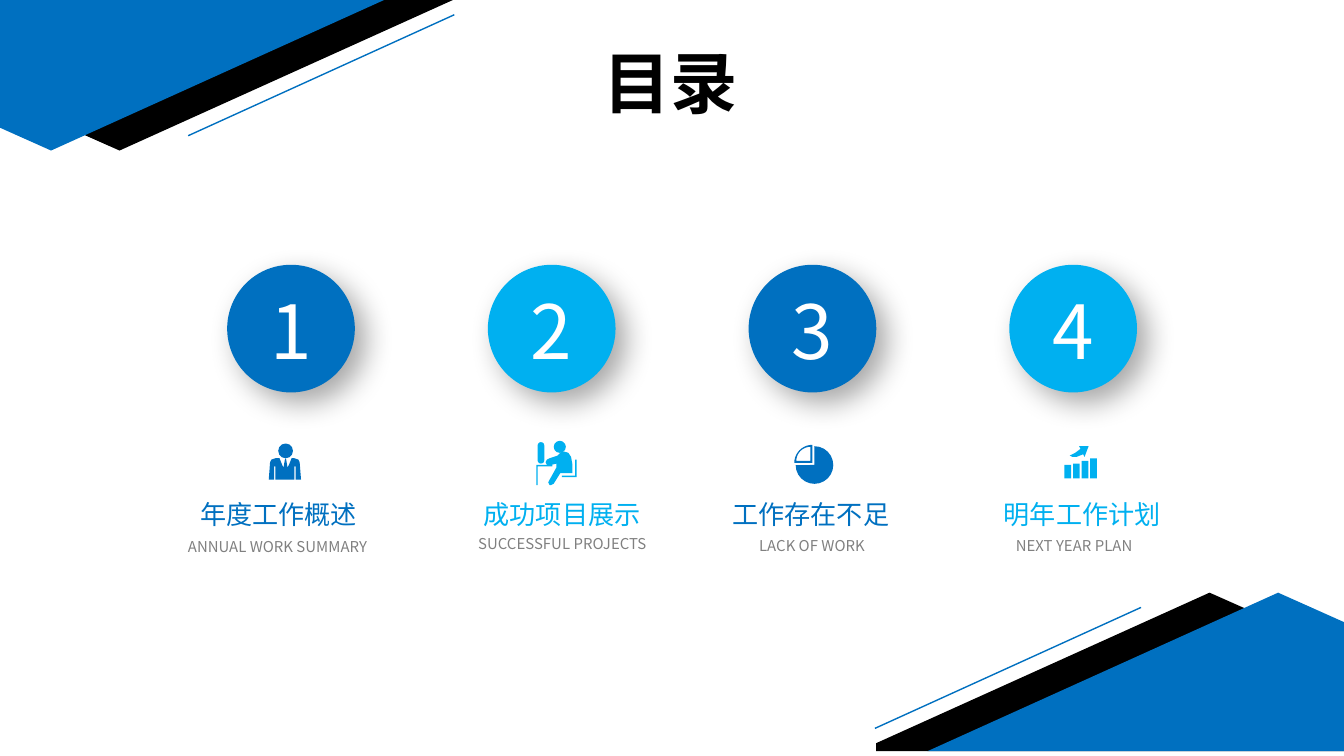
import math
from dataclasses import dataclass
from typing import NamedTuple, Optional

import pptx
import pptx.dml.color
import pptx.enum.shapes
import pptx.enum.text
import pptx.oxml
import pptx.oxml.ns
import pptx.util

SHAPE = pptx.enum.shapes.MSO_SHAPE
ALIGN = pptx.enum.text.PP_ALIGN
ANCHOR = pptx.enum.text.MSO_ANCHOR
Inches = pptx.util.Inches

COLORS = {"blue": "0070C0", "sky": "00B0F0", "black": "000000",
          "white": "FFFFFF", "gray": "808080"}
FONT = "Noto Sans CJK SC"
NAMESPACE = pptx.oxml.ns.nsdecls("a")

WIDTH = 10
HEIGHT = WIDTH * 9 / 16
FIRST_COLUMN, COLUMN_STEP = 1.69, 1.94
CIRCLE_TOP, CIRCLE_SIZE = 1.97, 0.95
HEADING_TOP = 3.66
ICON_UNIT = 0.01


class Preset(NamedTuple):
    """A preset shape inside an icon, in icon units."""
    kind: SHAPE
    left: float
    top: float
    width: float
    height: float
    adjustments: tuple = ()


class Outline(NamedTuple):
    """A closed polygon inside an icon, in icon units."""
    points: list


class Label(NamedTuple):
    text: str
    left: float
    top: float
    width: float


@dataclass
class Section:
    color: str
    heading: Label
    caption: Label
    icon_origin: tuple
    icon: list


def quarter(center: float, radius: float) -> list:
    """Upper-left quarter disc, starting and ending at its centre."""
    angles = [math.radians(180 + 9 * step) for step in range(11)]
    arc = [(center + radius * math.cos(a), center + radius * math.sin(a)) for a in angles]
    return [(center, center), *arc, (center, center)]


BUSINESSMAN = [
    Preset(SHAPE.OVAL, 7, 0, 11, 11),
    Outline([(1, 14), (2, 12), (5, 11), (8, 11), (10, 16), (11, 18), (12, 12), (12.5, 11),
             (13, 12), (14, 18), (15, 16), (17, 11), (19, 11), (22, 12), (23, 14), (24, 27),
             (20, 27), (20, 17), (19, 17), (19, 27), (5, 27), (5, 17), (4, 17), (4, 27), (0, 27)]),
]
DESK_WORKER = [
    Outline([(0, 18), (12, 18), (12, 19), (1, 19), (1, 33), (0, 33)]),
    Preset(SHAPE.ROUNDED_RECTANGLE, 1, 1, 5, 16, (0.5,)),
    Preset(SHAPE.OVAL, 13, 0, 9, 9),
    Outline([(10, 29), (9, 31), (10, 33), (11, 33), (13, 32), (18, 24), (27, 24), (27, 18),
             (26, 12), (24, 9), (21, 8), (19, 8), (16, 11), (10, 13), (8, 14), (7, 16),
             (8, 18), (11, 18), (15, 17), (15, 20)]),
    Outline([(19, 26), (29, 26), (29, 14), (30, 14), (30, 27), (19, 27)]),
]
PIE = [
    Preset(SHAPE.PIE, 1, 1, 28, 28, (162, 108)),
    Outline(quarter(13.5, 13.5) + quarter(12, 10.5)[::-1]),
]
GROWTH = [
    *(Preset(SHAPE.RECTANGLE, 6.4 * index, top, 5, 24 - top)
      for index, top in enumerate((14, 13, 11, 9))),
    Outline([(12, 2), (8, 5), (4, 7), (6, 8), (9, 8), (14, 6), (15, 8), (18, 0), (11, 0)]),
]

SECTIONS = [
    Section("blue", Label("年度工作概述", 1.39, HEADING_TOP, 1.58),
            Label("ANNUAL WORK SUMMARY", 1.3, 3.95, 1.78), (2, 3.3), BUSINESSMAN),
    Section("sky", Label("成功项目展示", 3.5, HEADING_TOP, 1.58),
            Label("SUCCESSFUL PROJECTS", 3.46, 3.93, 1.47), (3.99, 3.28), DESK_WORKER),
    Section("blue", Label("工作存在不足", 5.35, HEADING_TOP, 1.58),
            Label("LACK OF WORK", 5.55, 3.94, 1.16), (5.91, 3.31), PIE),
    Section("sky", Label("明年工作计划", 7.37, HEADING_TOP, 1.42),
            Label("NEXT YEAR PLAN", 7.46, 3.94, 1.15), (7.92, 3.32), GROWTH),
]

BLACK_BAND = [(3.37, -0.06), (3.37, 0), (0.89, 1.12), (-1.77, -0.06)]
BLUE_BAND = [(2.99, -0.06), (0.38, 1.12), (-2.26, -0.06)]
ACCENT_LINE = [(1.4, 1.01), (3.38, 0.11)]
TURN_SUM = (9.89, 5.53)


def rgb(color: str) -> pptx.dml.color.RGBColor:
    return pptx.dml.color.RGBColor.from_string(COLORS[color])


def paint(shape, color: str) -> None:
    shape.shadow.inherit = False
    shape.fill.solid()
    shape.fill.fore_color.rgb = rgb(color)
    shape.line.fill.background()


def write(shape, text: str, size: float, color: str, align: ALIGN, font: str = FONT,
          bold: Optional[bool] = None, wrap: bool = True, anchor: ANCHOR = ANCHOR.TOP) -> None:
    frame = shape.text_frame
    frame.text = text
    frame.word_wrap = wrap
    frame.auto_size = pptx.enum.text.MSO_AUTO_SIZE.NONE
    frame.vertical_anchor = anchor
    paragraph = frame.paragraphs[0]
    paragraph.alignment = align
    run = paragraph.runs[0]
    run.font.size = pptx.util.Pt(size)
    run.font.bold = bold
    run.font.color.rgb = rgb(color)
    run.font.name = font
    run.font._element.append(pptx.oxml.parse_xml(f'<a:ea {NAMESPACE} typeface="{FONT}"/>'))


def add_text(shapes, label: Label, height: float, **style) -> None:
    box = shapes.add_textbox(*map(Inches, (label.left, label.top, label.width, height)))
    write(box, label.text, **style)


def add_polygon(shapes, points: list, color: str) -> None:
    corners = [(Inches(x), Inches(y)) for x, y in points]
    builder = shapes.build_freeform(*corners[0])
    builder.add_line_segments(corners[1:], close=True)
    paint(builder.convert_to_shape(), color)


def add_icon(shapes, section: Section) -> None:
    left, top = section.icon_origin
    for part in section.icon:
        if isinstance(part, Outline):
            points = [(left + x * ICON_UNIT, top + y * ICON_UNIT) for x, y in part.points]
            add_polygon(shapes, points, section.color)
            continue
        shape = shapes.add_shape(
            part.kind, Inches(left + part.left * ICON_UNIT), Inches(top + part.top * ICON_UNIT),
            Inches(part.width * ICON_UNIT), Inches(part.height * ICON_UNIT))
        for index, value in enumerate(part.adjustments):
            shape.adjustments[index] = value
        paint(shape, section.color)


def add_number(shapes, column: int, color: str) -> None:
    """Shadowed circle with the section number on it."""
    left = FIRST_COLUMN + column * COLUMN_STEP
    circle = shapes.add_shape(SHAPE.OVAL, *map(Inches, (left, CIRCLE_TOP, CIRCLE_SIZE, CIRCLE_SIZE)))
    paint(circle, color)
    effects = circle._element.spPr.find(pptx.oxml.ns.qn("a:effectLst"))
    effects.append(pptx.oxml.parse_xml(
        f'<a:outerShdw {NAMESPACE} blurRad="203200" dist="101600" dir="2700000" algn="tl" '
        'rotWithShape="0"><a:srgbClr val="000000"><a:alpha val="35000"/></a:srgbClr></a:outerShdw>'))
    add_text(shapes, Label(str(column + 1), left + 0.21, CIRCLE_TOP + 0.1, 0.53), 0.76, size=40,
             color="white", align=ALIGN.CENTER, wrap=False, anchor=ANCHOR.MIDDLE)


def add_corner(shapes, turned: bool) -> None:
    """Two bands and a thin line, optionally turned by half a circle."""
    def place(points: list) -> list:
        return [(TURN_SUM[0] - x, TURN_SUM[1] - y) for x, y in points] if turned else points

    add_polygon(shapes, place(BLACK_BAND), "black")
    add_polygon(shapes, place(BLUE_BAND), "blue")
    start, end = place(ACCENT_LINE)
    line = shapes.add_connector(pptx.enum.shapes.MSO_CONNECTOR.STRAIGHT, *map(Inches, start + end))
    line.line.color.rgb = rgb("blue")
    line.line.width = pptx.util.Pt(0.75)
    line._element.spPr.append(pptx.oxml.parse_xml(f"<a:effectLst {NAMESPACE}/>"))


def main() -> None:
    presentation = pptx.Presentation()
    presentation.slide_width, presentation.slide_height = Inches(WIDTH), Inches(HEIGHT)
    slide = presentation.slides.add_slide(presentation.slide_layouts[5])

    title = slide.shapes.title
    title.left, title.top, title.width, title.height = map(Inches, (4.39, 0.26, 1.21, 0.71))
    write(title, "目录", 36, "black", ALIGN.LEFT, font="Calibri", bold=True, wrap=False)

    for column, section in enumerate(SECTIONS):
        add_number(slide.shapes.add_group_shape().shapes, column, section.color)
        shapes = slide.shapes.add_group_shape().shapes
        add_text(shapes, section.heading, 0.34, size=14, color=section.color, align=ALIGN.LEFT)
        add_text(shapes, section.caption, 0.24, size=8, color="gray", align=ALIGN.JUSTIFY)
        add_icon(shapes, section)

    for turned in (False, True):
        add_corner(slide.shapes.add_group_shape().shapes, turned)
    presentation.save("out.pptx")


if __name__ == "__main__":
    main()
